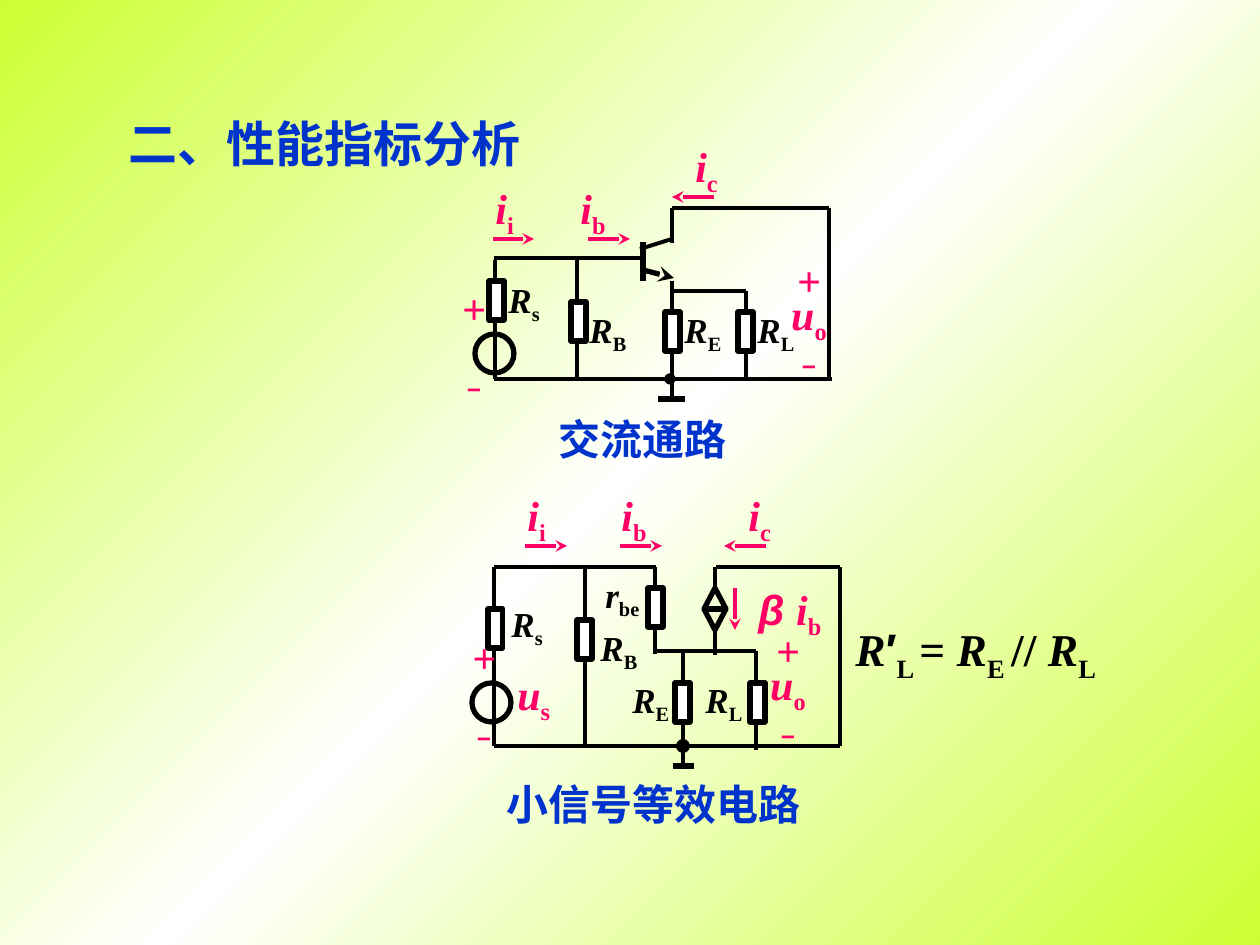
from lxml import etree
from pptx import Presentation, util as u
from pptx.dml.color import RGBColor
from pptx.enum import shapes, text
from pptx.oxml import parse_xml
from pptx.oxml.ns import qn

PX = 914400 / 126
COLORS = {"ink": "000000", "paper": "FFFFFF", "signal": "FF0066",
          "heading": "0033CC", "edge": "CCFF33"}
SERIF, SANS = "Times New Roman", "Arial"
LEFT, CENTER = text.PP_ALIGN.LEFT, text.PP_ALIGN.CENTER

TITLE = ("二、性能指标分析", 116, 107, 465, 72)
CAPTIONS = [("交流通路", 546, 407, 231, 63), ("小信号等效电路", 494, 772, 404, 63)]

AC_PATH = {
    "wires": [
        (672, 208, 829, 208, 2.25), (577, 260, 577, 379, 2),
        (643, 242, 643, 281, 3), (672, 281, 672, 399, 2),
        (643, 258, 494, 258, 2), (494, 379, 832, 379, 2),
        (658, 399, 685, 399, 3), (640, 249, 672, 239, 2.25),
        (672, 208, 672, 243, 2), (746, 291, 746, 380, 2),
        (829, 208, 829, 378, 2), (495, 260, 495, 379, 2),
        (672, 291, 746, 291, 2.25)],
    "emitter": [(643, 270, 674, 278)],
    "arrows": [(493, 239, 534, 239), (588, 239, 630, 239), (714, 197, 672, 197)],
    "resistors": [(489, 281), (571, 302), (665, 312), (738, 312)],
    "source": (475, 334),
    "node": (665, 374, 0.75),
    "quantities": [("R", "s", 496, 272, 60), ("R", "B", 577, 302, 86),
                   ("R", "E", 672, 302, 84), ("R", "L", 745, 302, 94)],
    "currents": [("i", "i", 483, 176, 48), ("i", "b", 568, 176, 53),
                 ("i", "c", 683, 134, 52)],
    "polarity": (431, 292),
    "output": (777, 266),
}
SMALL_SIGNAL = {
    "wires": [
        (716, 567, 840, 567, 2.25), (585, 567, 585, 746, 2),
        (656, 567, 494, 567, 2), (494, 746, 840, 746, 2),
        (673, 766, 694, 766, 3), (756, 651, 756, 750, 2),
        (840, 567, 840, 746, 2), (655, 567, 655, 654, 2),
        (683, 651, 683, 766, 2.25), (654, 651, 756, 651, 2.25),
        (494, 567, 494, 746, 2)],
    "emitter": [],
    "arrows": [(525, 546, 567, 546), (620, 546, 662, 546),
               (766, 546, 724, 546), (735, 588, 735, 630)],
    "resistors": [(488, 609), (577, 620), (648, 588), (675, 683), (750, 683)],
    "source": (472, 683),
    "node": (678, 741, 2.25),
    "quantities": [("R", "s", 499, 596, 60), ("R", "B", 588, 620, 94),
                   ("r", "be", 593, 567, 86), ("R", "E", 620, 672, 73),
                   ("R", "L", 693, 672, 73)],
    "currents": [("i", "i", 515, 483, 48), ("i", "b", 609, 483, 53),
                 ("i", "c", 736, 483, 52), ("u", "s", 505, 662, 60)],
    "polarity": (441, 641),
    "output": (756, 636),
}
DEPENDENT_SOURCE = (704, 588, 22, 42)
DEPENDENT_LABEL = [("β ", "i", SANS), ("i", "i"), ("b", "sub")]
LOAD = [("R", "i"), ("′", "", SANS), ("L ", "sub"), ("= ", ""), ("R", "i"),
        ("E ", "sub"), ("// ", ""), ("R", "i"), ("L", "sub")]


def px(*values):
    return [u.Emu(round(v * PX)) for v in values]


def rgb(name):
    return RGBColor.from_string(COLORS[name])


def fill_text(tf, paragraphs, size, color, align=LEFT, spacing=None, gap=0):
    tf.word_wrap = True
    tf.auto_size = text.MSO_AUTO_SIZE.NONE
    for n, runs in enumerate(paragraphs):
        p = tf.paragraphs[0] if n == 0 else tf.add_paragraph()
        p.alignment = align
        if spacing:
            p.line_spacing = spacing
        if n and gap:
            p.space_before = u.Pt(gap)
        p.font.size, p.font.bold, p.font.name = u.Pt(size), True, SERIF
        p.font.color.rgb = rgb(color)
        for content, style, *face in runs:
            r = p.add_run()
            r.text = content
            if "i" in style:
                r.font.italic = True
            if "sub" in style:
                r.font._element.set("baseline", "-25000")
            if face:
                r.font.name = face[0]


def add_text(box, paragraphs, size, color, anchor=text.MSO_ANCHOR.TOP, **options):
    tf = s.shapes.add_textbox(*px(*box)).text_frame
    tf.vertical_anchor = anchor
    fill_text(tf, paragraphs, size, color, **options)


def add_line(x1, y1, x2, y2, width, color="ink", arrow=False):
    c = s.shapes.add_connector(shapes.MSO_CONNECTOR.STRAIGHT, *px(x1, y1, x2, y2))
    c.line.width, c.line.color.rgb = u.Pt(width), rgb(color)
    if arrow:
        etree.SubElement(c.line._get_or_add_ln(), qn("a:tailEnd"), type="stealth")
    etree.SubElement(c._element.spPr, qn("a:effectLst"))
    return c


def add_part(kind, x, y, w, h, width=3, fill=None):
    sp = s.shapes.add_shape(kind, *px(x, y, w, h))
    sp.shadow.inherit = False
    sp.line.width, sp.line.color.rgb = u.Pt(width), rgb("ink")
    if fill:
        sp.fill.solid()
        sp.fill.fore_color.rgb = rgb(fill)
    else:
        sp.fill.background()
    return sp


def draw_circuit(circuit):
    for wire in circuit["wires"]:
        add_line(*wire)
    for line in circuit["emitter"]:
        add_line(*line, 3, arrow=True)
    for line in circuit["arrows"]:
        add_line(*line, 2.25, "signal", arrow=True)
    for x, y in circuit["resistors"]:
        add_part(shapes.MSO_SHAPE.RECTANGLE, x, y, 15, 39, fill="paper")
    add_part(shapes.MSO_SHAPE.OVAL, *circuit["source"], 39, 39)
    x, y, width = circuit["node"]
    add_part(shapes.MSO_SHAPE.OVAL, x, y, 10, 10, width, "ink")
    for key, size, color, h in (("quantities", 20, "ink", 60),
                                ("currents", 24, "signal", 71)):
        for name, sub, x, y, w in circuit[key]:
            add_text((x, y, w, h), [[(name, "i"), (sub, "sub")]], size, color)
    marks = dict(size=24, color="signal", anchor=text.MSO_ANCHOR.MIDDLE,
                 align=CENTER, spacing=0.6)
    add_text((*circuit["polarity"], 86, 112),
             [[("+", "i")], [("−", "sub", SANS)]], gap=17, **marks)
    add_text((*circuit["output"], 64, 112),
             [[("+", "i")], [("u", "i"), ("o", "sub")], [("−", "sub", SANS)]], **marks)


def draw_dependent_source():
    x, y, w, h = DEPENDENT_SOURCE
    mid_x, mid_y = x + w // 2, y + h // 2
    sp = add_part(shapes.MSO_SHAPE.DIAMOND, x, y, w, h)
    add_line(mid_x, 567, mid_x, y, 2).end_connect(sp, 0)
    add_line(mid_x, y + h, mid_x, 655, 2).begin_connect(sp, 2)
    bar = add_line(x, mid_y, x + w, mid_y, 3)
    bar.begin_connect(sp, 1)
    bar.end_connect(sp, 3)


def paint_background():
    stops = "".join(f'<a:gs pos="{pos}"><a:srgbClr val="{COLORS[name]}"/></a:gs>'
                    for pos, name in ((0, "edge"), (50000, "paper"), (100000, "edge")))
    grad = parse_xml(
        '<a:gradFill xmlns:a="http://schemas.openxmlformats.org/drawingml/2006/main" '
        f'rotWithShape="1"><a:gsLst>{stops}</a:gsLst>'
        '<a:lin ang="2700000" scaled="1"/></a:gradFill>')
    s.background.fill.solid()
    bg = s._element.cSld.bg.bgPr
    bg.replace(bg[0], grad)


prs = Presentation()
prs.slide_width, prs.slide_height = px(1260, 945)
s = prs.slides.add_slide(prs.slide_layouts[5])
paint_background()

heading, *box = TITLE
title = s.shapes.title
title.left, title.top, title.width, title.height = px(*box)
title.text_frame.vertical_anchor = text.MSO_ANCHOR.TOP
fill_text(title.text_frame, [[(heading, "")]], 28, "heading")

for caption, *box in CAPTIONS:
    add_text(box, [[(caption, "")]], 24, "heading")
for circuit in (AC_PATH, SMALL_SIGNAL):
    draw_circuit(circuit)
draw_dependent_source()
add_text((746, 577, 105, 71), [DEPENDENT_LABEL], 24, "signal")
add_text((843, 615, 336, 76), [LOAD], 26, "ink")
prs.save("out.pptx")
